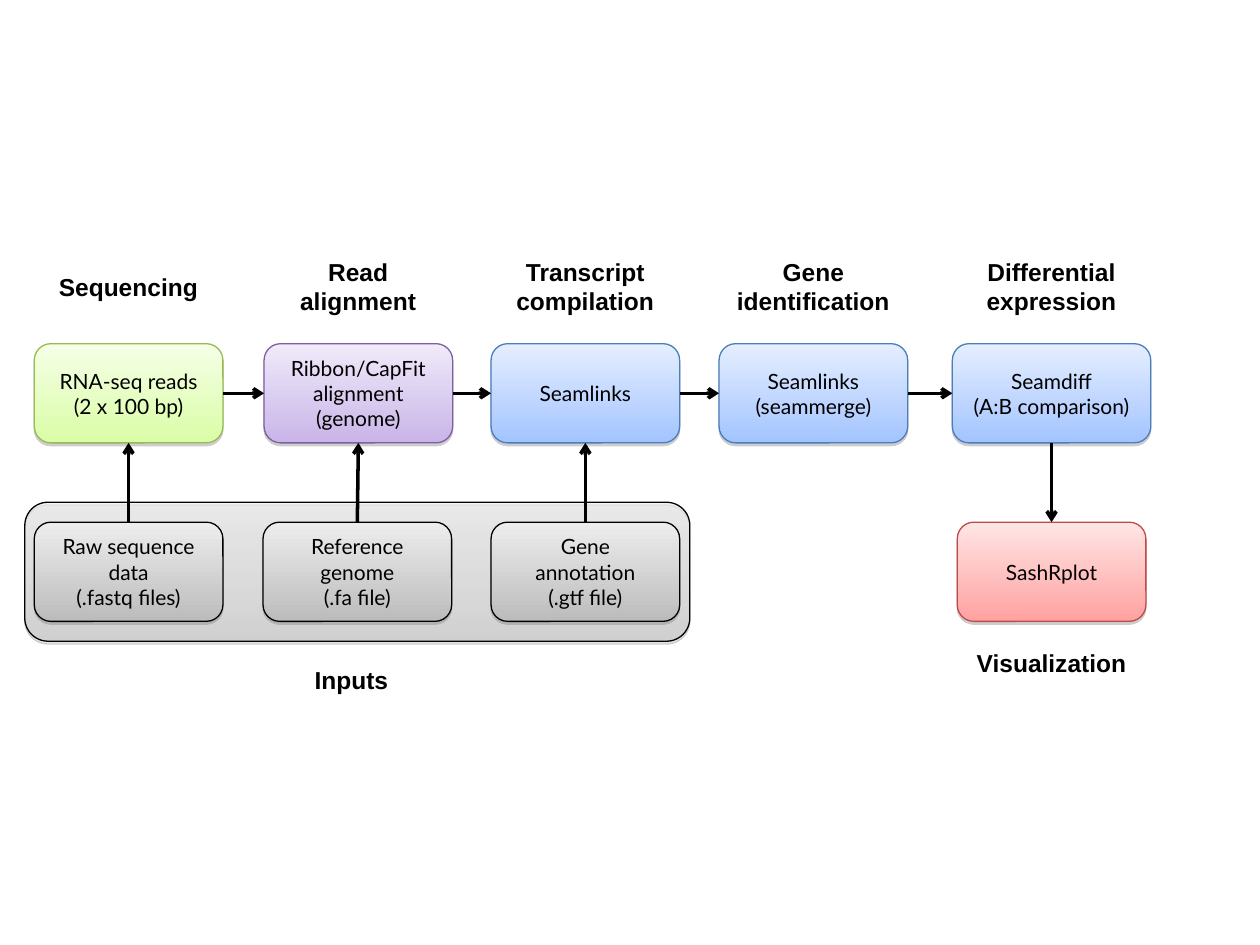
from dataclasses import dataclass

from lxml.etree import SubElement
from pptx import Presentation
from pptx.dml.color import RGBColor
from pptx.enum.shapes import MSO_CONNECTOR, MSO_SHAPE
from pptx.enum.text import MSO_ANCHOR, MSO_AUTO_SIZE, PP_ALIGN
from pptx.oxml.ns import qn
from pptx.util import Pt


@dataclass(frozen=True)
class Palette:
    top: str
    bottom: str
    line: str


@dataclass(frozen=True)
class Box:
    text: str
    left: float
    top: float
    width: float
    palette: Palette
    height: float = 56.7
    alpha: int = 100


@dataclass(frozen=True)
class Label:
    text: str
    left: float
    top: float
    width: float
    height: float
    wrap: bool = True


@dataclass(frozen=True)
class Arrow:
    x1: float
    y1: float
    x2: float
    y2: float


GREEN = Palette("F5FFE6", "DAFDA7", "98B954")
PURPLE = Palette("F0EAF9", "C9B5E8", "7D60A0")
BLUE = Palette("E5EEFF", "A3C4FF", "4A7EBB")
RED = Palette("FFE5E5", "FFA2A1", "BE4B48")
GREY = Palette("EDEDED", "BCBCBC", "000000")

STEP_TOP, INPUT_TOP, BOX_WIDTH = 196.4, 298.4, 107.8
STEP_MID, STEP_BOTTOM = STEP_TOP + 28.35, STEP_TOP + 56.7
LABEL_TOP, LABEL_HEIGHT, LABEL_WIDTH = 143.3, 41.2, 130.3

PANEL = Box("", 14.2, 287, 380, GREY, height=79.4, alpha=51)
STEPS = [
    Box("RNA-seq reads (2 x 100 bp)", 19.6, STEP_TOP, BOX_WIDTH, GREEN),
    Box("Ribbon/CapFit alignment (genome)", 150.9, STEP_TOP, BOX_WIDTH, PURPLE),
    Box("Seamlinks", 280.6, STEP_TOP, BOX_WIDTH, BLUE),
    Box("Seamlinks (seammerge)", 410.9, STEP_TOP, BOX_WIDTH, BLUE),
    Box("Seamdiff\n(A:B comparison)", 544.2, STEP_TOP, 113.4, BLUE),
]
INPUTS = [
    Box("Raw sequence data\n(.fastq files)", 19.6, INPUT_TOP, BOX_WIDTH, GREY),
    Box("Reference genome\n(.fa file)", 150.3, INPUT_TOP, BOX_WIDTH, GREY),
    Box("Gene annotation\n(.gtf file)", 280.6, INPUT_TOP, BOX_WIDTH, GREY),
]
VISUALIZATION = Box("SashRplot", 547, INPUT_TOP, BOX_WIDTH, RED)
LABELS = [
    Label("Sequencing", 25.4, 151.8, 96, 24.2, wrap=False),
    Label("Read alignment", 155.7, LABEL_TOP, 97.9, LABEL_HEIGHT),
    Label("Transcript compilation", 269.3, LABEL_TOP, LABEL_WIDTH, LABEL_HEIGHT),
    Label("Gene identification", 399.6, LABEL_TOP, LABEL_WIDTH, LABEL_HEIGHT),
    Label("Differential expression", 535.7, LABEL_TOP, LABEL_WIDTH, LABEL_HEIGHT),
    Label("Visualization", 535.7, 366.5, LABEL_WIDTH, 24.2),
    Label("Inputs", 170.8, 376.2, 60, 24.2, wrap=False),
]


def rgb(value: str) -> RGBColor:
    return RGBColor.from_string(value)


def middle(box: Box) -> float:
    return box.left + box.width / 2


def write_text(tf, text: str, font: str, size: float, bold: bool) -> None:
    tf.text = text
    for p in tf.paragraphs:
        p.alignment = PP_ALIGN.CENTER
        for r in p.runs:
            r.font.name = font
            r.font.size = Pt(size)
            r.font.bold = bold
            r.font.color.rgb = rgb("000000")


def add_drop_shadow(sp) -> None:
    sp.shadow.inherit = False
    effects = sp._element.spPr.find(qn("a:effectLst"))
    shadow = SubElement(effects, qn("a:outerShdw"), blurRad="0", dist=str(Pt(1.6)),
                        dir="5400000", rotWithShape="0")
    color = SubElement(shadow, qn("a:srgbClr"), val="808080")
    SubElement(color, qn("a:alpha"), val="38000")


def draw_box(slide, box: Box) -> None:
    sp = slide.shapes.add_shape(MSO_SHAPE.ROUNDED_RECTANGLE, Pt(box.left), Pt(box.top),
                                Pt(box.width), Pt(box.height))
    sp.fill.gradient()
    sp.fill.gradient_angle = 270
    for stop, position, color in zip(sp.fill.gradient_stops, (0, 1),
                                     (box.palette.top, box.palette.bottom)):
        stop.position = position
        stop.color.rgb = rgb(color)
    if box.alpha < 100:
        for color in sp._element.spPr.findall(".//" + qn("a:srgbClr")):
            SubElement(color, qn("a:alpha"), val=str(box.alpha * 1000))
    sp.line.color.rgb = rgb(box.palette.line)
    sp.line.width = Pt(0.75)
    add_drop_shadow(sp)
    if box.text:
        tf = sp.text_frame
        tf.word_wrap = True
        tf.vertical_anchor = MSO_ANCHOR.MIDDLE
        write_text(tf, box.text, "Lato", 12, False)


def draw_label(slide, label: Label) -> None:
    sp = slide.shapes.add_textbox(Pt(label.left), Pt(label.top), Pt(label.width), Pt(label.height))
    tf = sp.text_frame
    tf.word_wrap = label.wrap
    tf.auto_size = MSO_AUTO_SIZE.SHAPE_TO_FIT_TEXT
    write_text(tf, label.text, "Arial", 14, True)


def draw_arrow(slide, arrow: Arrow) -> None:
    sp = slide.shapes.add_connector(MSO_CONNECTOR.STRAIGHT, Pt(arrow.x1), Pt(arrow.y1),
                                    Pt(arrow.x2), Pt(arrow.y2))
    sp.line.color.rgb = rgb("000000")
    sp.line.width = Pt(2)
    spPr = sp._element.spPr
    SubElement(spPr.find(qn("a:ln")), qn("a:tailEnd"), type="arrow")
    SubElement(spPr, qn("a:effectLst"))


def main() -> None:
    prs = Presentation()
    prs.slide_width, prs.slide_height = Pt(720), Pt(540)
    slide = prs.slides.add_slide(prs.slide_layouts[6])

    for box in [PANEL, *STEPS, VISUALIZATION, *INPUTS]:
        draw_box(slide, box)
    for label in LABELS:
        draw_label(slide, label)

    arrows = [Arrow(a.left + a.width, STEP_MID, b.left, STEP_MID)
              for a, b in zip(STEPS, STEPS[1:])]
    arrows += [Arrow(middle(source), INPUT_TOP, middle(step), STEP_BOTTOM)
               for source, step in zip(INPUTS, STEPS)]
    arrows.append(Arrow(middle(STEPS[-1]), STEP_BOTTOM, middle(VISUALIZATION), INPUT_TOP))
    for arrow in arrows:
        draw_arrow(slide, arrow)

    prs.save("out.pptx")


if __name__ == "__main__":
    main()
